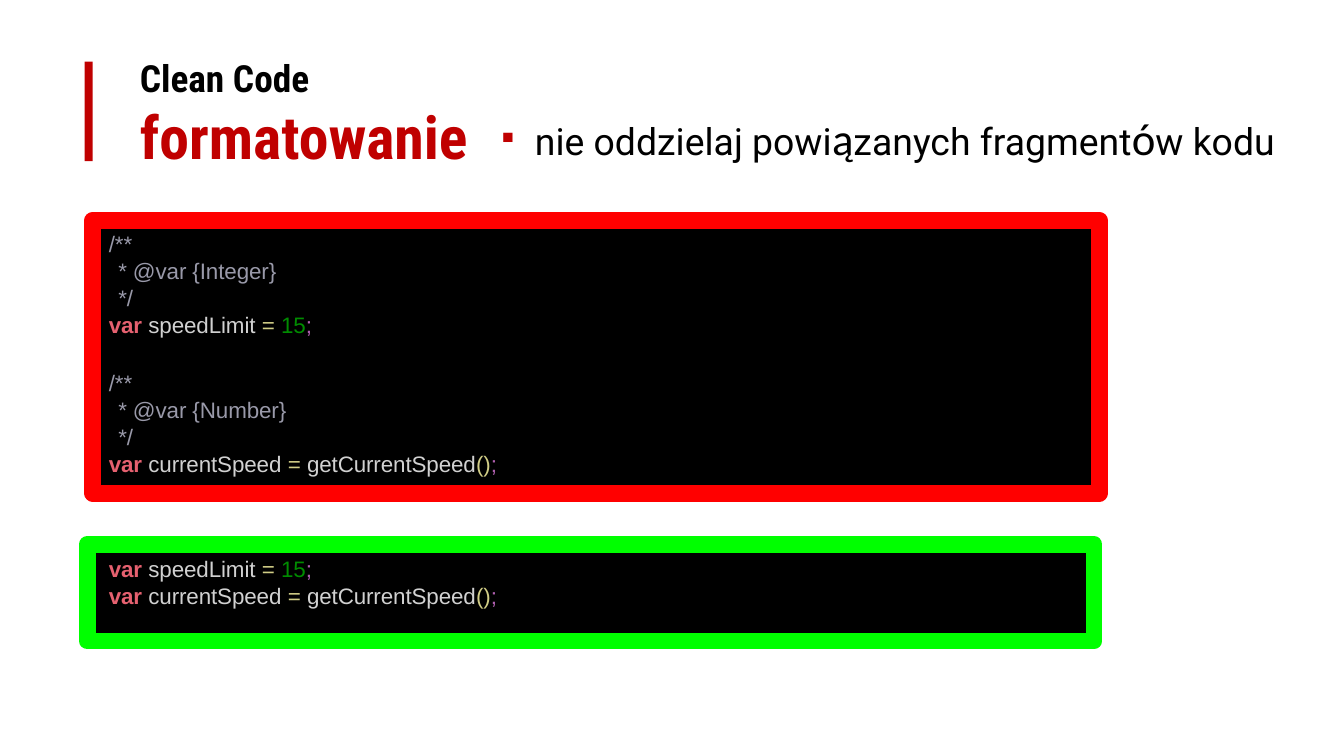
from lxml.etree import SubElement
from pptx import Presentation
from pptx.dml.color import RGBColor
from pptx.enum.shapes import MSO_SHAPE
from pptx.enum.text import MSO_ANCHOR, MSO_AUTO_SIZE, PP_ALIGN
from pptx.oxml.ns import qn
from pptx.util import Pt

PX = 9144
BLACK = RGBColor(0x00, 0x00, 0x00)
CRIMSON = RGBColor(0xC0, 0x00, 0x00)
RED = RGBColor(0xFF, 0x00, 0x00)
LIME = RGBColor(0x00, 0xFF, 0x00)
GRAY = RGBColor(0x99, 0x99, 0xA9)
ROSE = RGBColor(0xE6, 0x61, 0x70)
SILVER = RGBColor(0xD1, 0xD1, 0xD1)
SAND = RGBColor(0xD1, 0xCD, 0x86)
GREEN = RGBColor(0x00, 0x8C, 0x00)
PURPLE = RGBColor(0xB0, 0x60, 0xB0)

LIMIT = [("var ", ROSE), ("speedLimit ", SILVER), ("= ", SAND),
         ("15", GREEN), (";", PURPLE)]
SPEED = [("var ", ROSE), ("currentSpeed ", SILVER), ("= ", SAND),
         ("getCurrentSpeed", SILVER), ("()", SAND), (";", PURPLE)]


def place(shape, left, top, width, height):
    """Move and size a shape in px."""
    shape.left, shape.top = left * PX, top * PX
    shape.width, shape.height = width * PX, height * PX


def inset(frame, gap):
    """Set wrapping, top anchor and equal insets in px."""
    frame.word_wrap = True
    frame.auto_size = MSO_AUTO_SIZE.NONE
    frame.vertical_anchor = MSO_ANCHOR.TOP
    frame.margin_left = frame.margin_right = gap * PX
    frame.margin_top = frame.margin_bottom = gap * PX


def add_run(para, text, color=BLACK, size=None, face=None):
    """Append a coloured run and return it."""
    run = para.add_run()
    run.text = text
    run.font.color.rgb = color
    if size:
        run.font.size = Pt(size)
    if face:
        run.font.name = face
    return run


def add_rect(slide, box, fill=None, line=None):
    """Draw a rectangle with a plain fill or a thick outline."""
    rect = slide.shapes.add_shape(MSO_SHAPE.RECTANGLE, *(n * PX for n in box))
    rect.shadow.inherit = False
    if fill is None:
        rect.fill.background()
    else:
        rect.fill.solid()
        rect.fill.fore_color.rgb = fill
    if line is None:
        rect.line.fill.background()
    else:
        rect.line.color.rgb = line
        rect.line.width = Pt(9)


def set_title(title):
    """Fill the two-line heading."""
    place(title, 94, 31, 464, 94)
    inset(title.text_frame, 10)
    para = title.text_frame.paragraphs[0]
    para.alignment = PP_ALIGN.LEFT
    para.font.name = "Roboto Condensed"
    para.font.bold = True
    add_run(para, "Clean Code", size=20)
    para.add_line_break()
    add_run(para, "formatowanie", CRIMSON, 32)


def set_body(body):
    """Fill the bulleted rule beside the heading."""
    place(body, 338, 72, 636, 50)
    inset(body.text_frame, 10)
    para = body.text_frame.paragraphs[0]
    para.space_before = Pt(0)
    props = para._p.get_or_add_pPr()
    props.set("marL", str(50 * PX))
    props.set("indent", str(-25 * PX))
    tint = SubElement(props, qn("a:buClr"))
    SubElement(tint, qn("a:srgbClr")).set("val", str(CRIMSON))
    SubElement(props, qn("a:buChar")).set("char", "▪")
    for text in ("nie oddzielaj powi", "ą", "zanych fragment", "ó", "w kodu"):
        accent = len(text) == 1
        add_run(para, text, size=24 if accent else 20,
                face="Calibri" if accent else "Roboto")


def add_line(para, parts, left, gap):
    """Write one line of coloured code."""
    para.space_before = Pt(gap)
    para.font.size = Pt(12)
    para.font.name = "Arial"
    para._p.get_or_add_pPr().set("marL", str(left * PX))
    for text, color in parts:
        run = add_run(para, text, color)
        run.font.bold = color == ROSE
        run._r.get_or_add_rPr().set("spc", "-5")


def add_code(slide, box, lines):
    """Add a text box of code lines given as parts, indent and gap."""
    frame = slide.shapes.add_textbox(*(n * PX for n in box)).text_frame
    inset(frame, 0)
    for i, line in enumerate(lines):
        para = frame.add_paragraph() if i else frame.paragraphs[0]
        add_line(para, *line)


def doc_lines(kind, gap):
    """Return the comment lines that declare a type."""
    return [([("/**", GRAY)], 1, gap),
            ([("* @var {" + kind + "}", GRAY)], 8, 0.1),
            ([("*/", GRAY)], 8, 0.1)]


def add_panel(slide, box, color, text, lines):
    """Add a black code panel with a coloured frame."""
    left, top, width, height = box
    add_rect(slide, (70, top, width, height), fill=BLACK)
    add_code(slide, text, lines)
    add_rect(slide, box, line=color)


def main():
    """Build and save the slide."""
    deck = Presentation()
    deck.slide_width = 1000 * PX
    deck.slide_height = deck.slide_width * 9 // 16
    slide = deck.slides.add_slide(deck.slide_layouts[1])
    add_rect(slide, (63, 46, 6, 74), fill=CRIMSON)
    set_body(slide.placeholders[1])
    set_title(slide.shapes.title)
    limit, speed = (LIMIT, 1, 0.1), (SPEED, 1, 0.1)
    bad = doc_lines("Integer", 0) + [limit] + doc_lines("Number", 16.8) + [speed]
    add_panel(slide, (69, 164, 749, 203), RED, (80, 171, 721, 185), bad)
    add_panel(slide, (65, 405, 749, 72), LIME, (80, 413, 721, 40), [limit, speed])
    deck.save("out.pptx")


if __name__ == "__main__":
    main()
